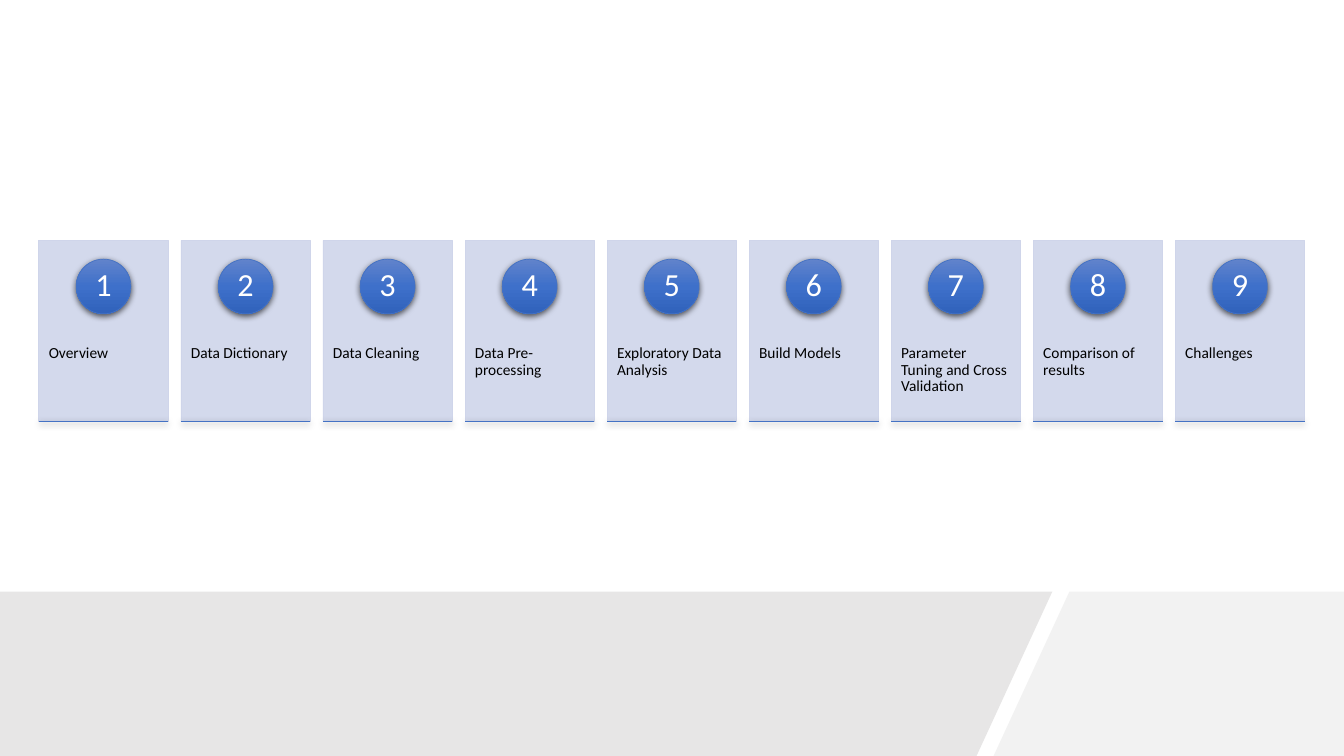
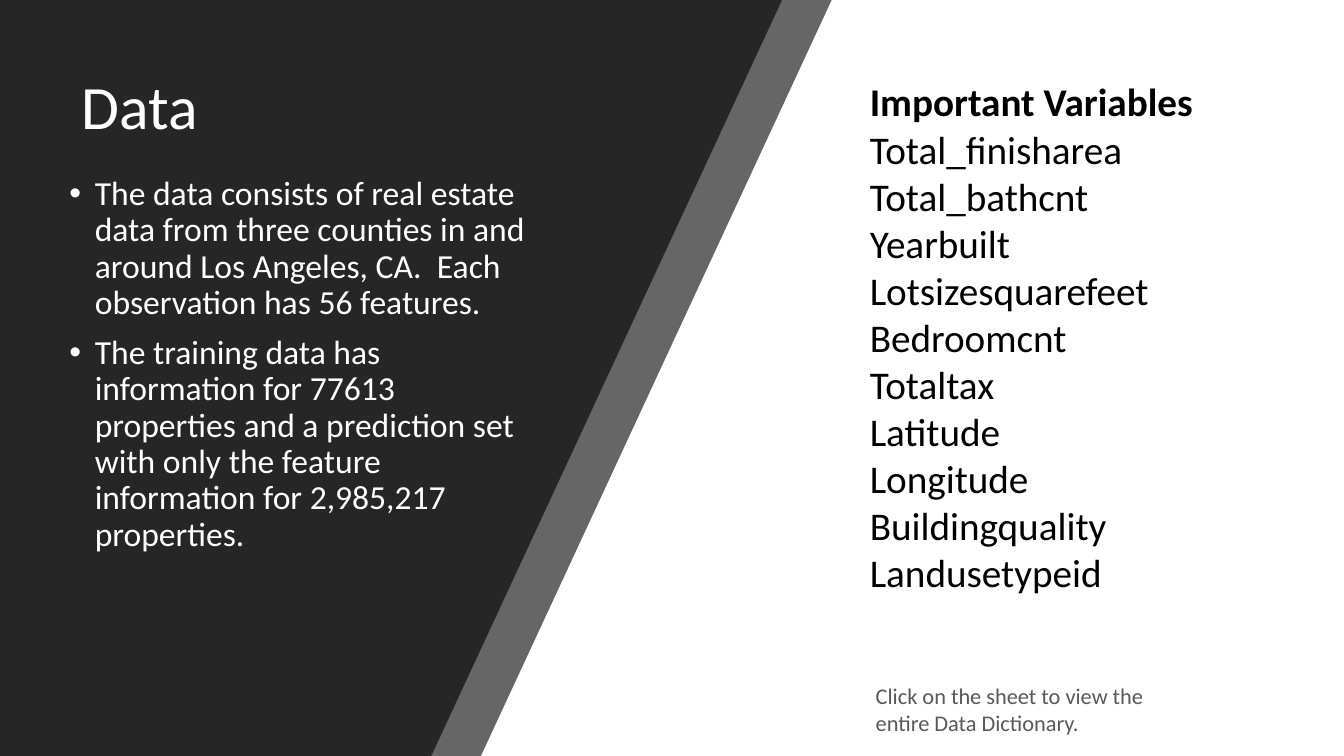
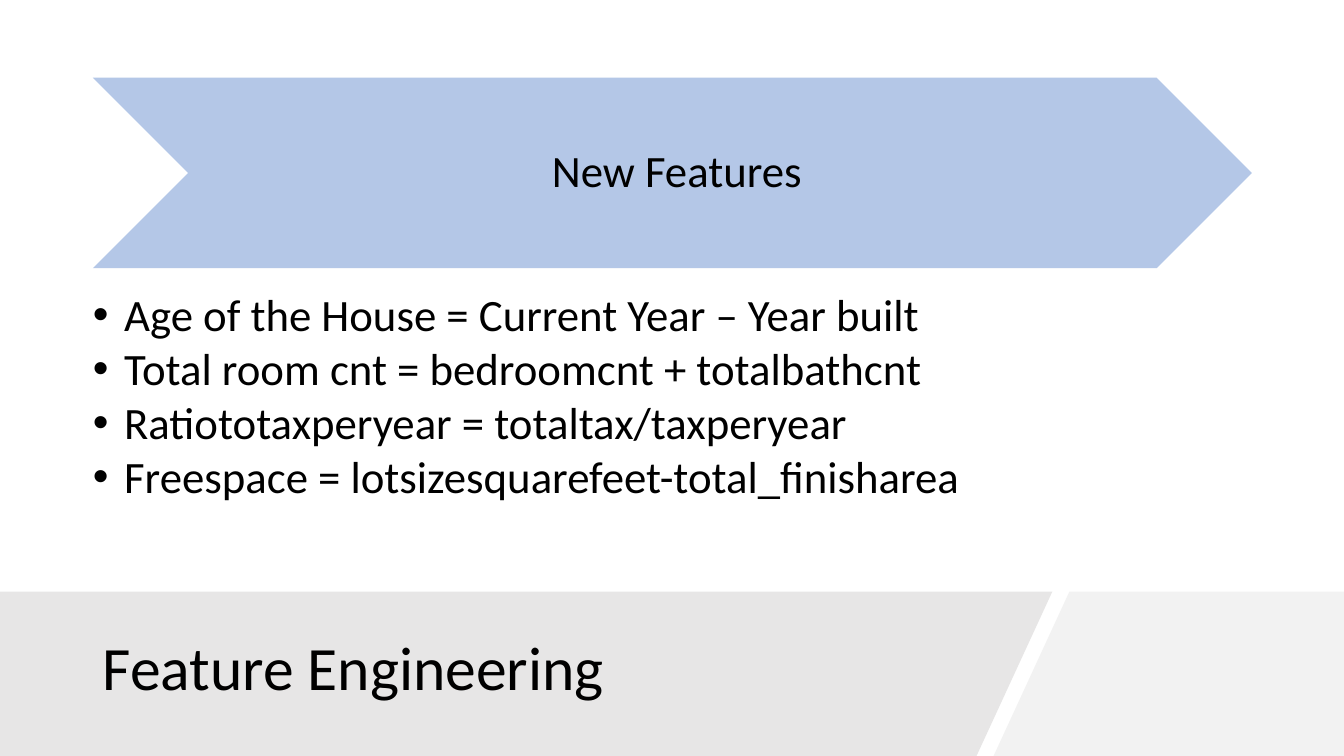
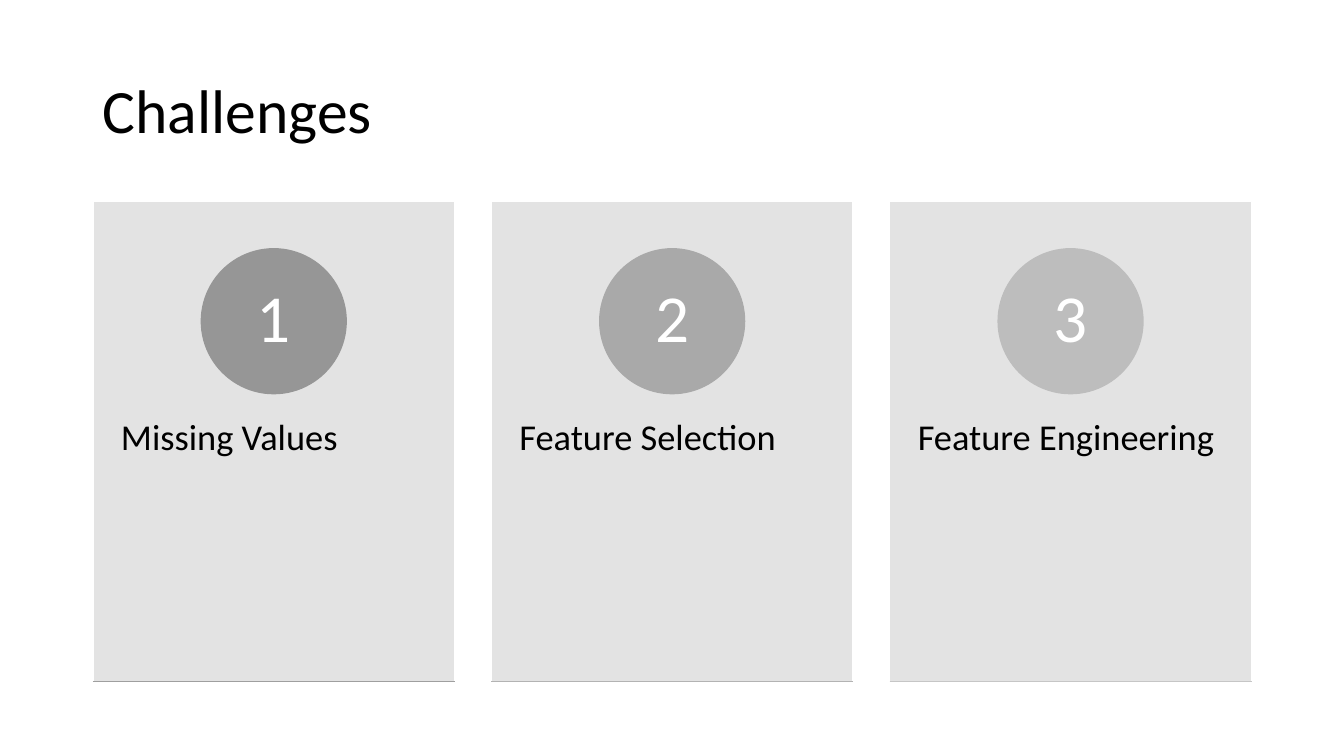
import copy

from lxml import etree
from pptx import Presentation
from pptx.dml.color import RGBColor
from pptx.enum import shapes, text
from pptx.oxml.ns import qn
from pptx.util import Cm, Pt

# Style
FONT = "Calibri"
BLACK = RGBColor(0x00, 0x00, 0x00)
WHITE = RGBColor(0xFF, 0xFF, 0xFF)
CHARCOAL = RGBColor(0x26, 0x26, 0x26)
NOTE_GREY = RGBColor(0x59, 0x59, 0x59)
BAND_GREY = RGBColor(0xE7, 0xE6, 0xE6)
BAND_LIGHT = RGBColor(0xF2, 0xF2, 0xF2)
CARD_GREY = RGBColor(0xE1, 0xE1, 0xE1)
CARD_BLUE = RGBColor(0xCF, 0xD5, 0xEA)
CHEVRON_BLUE = RGBColor(0xB4, 0xC7, 0xE7)
BLUE = RGBColor(0x44, 0x72, 0xC4)
BLUE_GRADIENT = (RGBColor(0x61, 0x83, 0xCB), RGBColor(0x3E, 0x70, 0xCA), RGBColor(0x30, 0x62, 0xBB))
DISC_GREYS = (RGBColor(0x96, 0x96, 0x96), RGBColor(0xA9, 0xA9, 0xA9), RGBColor(0xBD, 0xBD, 0xBD))
RULE_GREYS = (RGBColor(0x9F, 0x9F, 0x9F), RGBColor(0xB3, 0xB3, 0xB3), RGBColor(0xC6, 0xC6, 0xC6))

WIDTH, HEIGHT = 33.87, 19.05
BAND_TOP = 14.91
LEFT = 2.34
TOP, MIDDLE = text.MSO_ANCHOR.TOP, text.MSO_ANCHOR.MIDDLE
CENTER = text.PP_ALIGN.CENTER
PADDING = (0.25, 0.13, 0.25, 0.13)
NO_PADDING = (0, 0, 0, 0)


class SlideBuilder:
    """Holds the deck, its style and the page being drawn."""

    def __init__(self):
        self.deck = Presentation()
        self.deck.slide_width, self.deck.slide_height = Cm(WIDTH), Cm(HEIGHT)
        self.page = None

    def new_page(self):
        self.page = self.deck.slides.add_slide(self.deck.slide_layouts[6])

    # Finish of shapes
    def effects(self, shape, shadow=False):
        effect_list = etree.SubElement(shape.element.spPr, qn("a:effectLst"))
        if shadow:
            outer = etree.SubElement(effect_list, qn("a:outerShdw"), blurRad=str(Pt(4.5)),
                                     dist=str(Pt(1.5)), dir="5400000", algn="ctr", rotWithShape="0")
            colour = etree.SubElement(outer, qn("a:srgbClr"), val="000000")
            etree.SubElement(colour, qn("a:alpha"), val="63000")

    def paint(self, shape, fill, line=None, line_width=1, opacity=100, shadow=False):
        if isinstance(fill, RGBColor):
            shape.fill.solid()
            shape.fill.fore_color.rgb = fill
        else:
            shape.fill.gradient()
            shape.fill.gradient_angle = 270
            stops = shape.element.spPr.find(".//" + qn("a:gsLst"))
            stops.insert(1, copy.deepcopy(stops[0]))
            for stop, place, colour in zip(shape.fill.gradient_stops, (0, 0.5, 1), fill):
                stop.position, stop.color.rgb = place, colour
        if opacity < 100:
            colour = shape.element.spPr.find(qn("a:solidFill")).find(qn("a:srgbClr"))
            etree.SubElement(colour, qn("a:alpha"), val=str(opacity * 1000))
        if line is None:
            shape.line.fill.background()
        else:
            shape.line.color.rgb, shape.line.width = line, Pt(line_width)
        self.effects(shape, shadow)

    # Text
    def set_text(self, shape, lines, size, colour=BLACK, align=text.PP_ALIGN.LEFT, anchor=TOP,
                 padding=PADDING, spacing=0.9, before=0, bullet=0):
        frame = shape.text_frame
        frame.word_wrap = True
        frame.vertical_anchor = anchor
        (frame.margin_left, frame.margin_top,
         frame.margin_right, frame.margin_bottom) = map(Cm, padding)
        frame.text = "\n".join(lines)
        for index, para in enumerate(frame.paragraphs):
            if bullet:
                properties = para._p.get_or_add_pPr()
                properties.set("marL", str(Cm(bullet)))
                properties.set("indent", str(-Cm(bullet)))
                etree.SubElement(properties, qn("a:buFont"), typeface="Arial")
                etree.SubElement(properties, qn("a:buChar"), char="•")
            para.alignment, para.line_spacing = align, spacing
            if index and before:
                para.space_before = Pt(before)
            for span in para.runs:
                span.font.name, span.font.size = FONT, Pt(size)
                span.font.color.rgb = colour

    def text_box(self, left, top, width, height, lines, size, **options):
        box = self.page.shapes.add_textbox(Cm(left), Cm(top), Cm(width), Cm(height))
        self.set_text(box, lines, size, **options)
        return box

    def title(self, wording, left, top, width, height, colour=BLACK):
        self.text_box(left, top, width, height, [wording], 44, colour=colour, anchor=MIDDLE)

    # Shapes
    def shape(self, kind, left, top, width, height, fill, **options):
        shape = self.page.shapes.add_shape(kind, Cm(left), Cm(top), Cm(width), Cm(height))
        self.paint(shape, fill, **options)
        return shape

    def polygon(self, points, fill, opacity=100):
        start, *others = [(Cm(x), Cm(y)) for x, y in points]
        outline = self.page.shapes.build_freeform(*start)
        outline.add_line_segments(others, close=True)
        self.paint(outline.convert_to_shape(), fill, opacity=opacity)

    def bottom_band(self):
        self.polygon([(26.95, BAND_TOP), (WIDTH, BAND_TOP), (WIDTH, HEIGHT), (25.04, HEIGHT)], BAND_LIGHT)
        self.polygon([(0, BAND_TOP), (26.52, BAND_TOP), (24.61, HEIGHT), (0, HEIGHT)], BAND_GREY)

    def rule(self, left, top, width, colour, line_width, shadow):
        line = self.page.shapes.add_connector(shapes.MSO_CONNECTOR.STRAIGHT, Cm(left), Cm(top),
                                              Cm(left + width), Cm(top))
        line.line.color.rgb, line.line.width = colour, Pt(line_width)
        self.effects(line, shadow)

    def numbered_cards(self, labels, discs, disc_lines, rules, *, left, top, width, height, pitch,
                       card_fill, card_line, line_width, disc_size, disc_drop, number_size,
                       label_size, padding, shadow=False):
        parts = zip(labels, discs, disc_lines, rules)
        for index, (label, disc_fill, disc_line, rule_colour) in enumerate(parts):
            x = left + index * pitch
            card = self.shape(shapes.MSO_SHAPE.RECTANGLE, x, top, width, height, card_fill,
                              line=card_line, line_width=line_width, opacity=90)
            self.set_text(card, [label], label_size, padding=padding)
            disc = self.shape(shapes.MSO_SHAPE.OVAL, x + (width - disc_size) / 2, top + disc_drop,
                              disc_size, disc_size, disc_fill, line=disc_line,
                              line_width=line_width, shadow=shadow)
            self.set_text(disc, [str(index + 1)], number_size, colour=WHITE, align=CENTER,
                          anchor=MIDDLE, padding=NO_PADDING)
            self.rule(x, top + height, width, rule_colour, line_width, shadow)


def agenda(slide):
    slide.new_page()
    slide.bottom_band()
    labels = ["Overview", "Data Dictionary", "Data Cleaning", "Data Pre-processing",
              "Exploratory Data Analysis", "Build Models", "Parameter Tuning and Cross Validation",
              "Comparison of results", "Challenges"]
    blues = [BLUE] * len(labels)
    slide.numbered_cards(labels, [BLUE_GRADIENT] * len(labels), blues, blues,
                         left=0.98, top=6.06, width=3.26, height=4.56, pitch=3.58,
                         card_fill=CARD_BLUE, card_line=CARD_BLUE, line_width=0.5,
                         disc_size=1.38, disc_drop=0.47, number_size=23, label_size=11,
                         padding=(0.25, 2.64, 0.25, 0.2), shadow=True)


def data(slide):
    slide.new_page()
    # Slanted panel
    slide.polygon([(0, 0), (20.96, 0), (12.12, HEIGHT), (0, HEIGHT)], CHARCOAL, opacity=70)
    slide.polygon([(0, 0), (19.71, 0), (10.87, HEIGHT), (0, HEIGHT)], CHARCOAL)
    slide.title("Data", 1.8, 0.91, 15.37, 3.68, colour=WHITE)
    slide.text_box(1.5, 4.32, 12.19, 12.73, [
        "The data consists of real estate data from three counties in and around Los Angeles, CA.  "
        "Each observation has 56 features.",
        "The training data has information for 77613 properties and a prediction set with only the "
        "feature information for 2,985,217 properties.",
    ], 24, colour=WHITE, before=10, bullet=0.64)
    # Variables
    slide.text_box(21.82, 17.07, 7.59, 1.63, ["Click on the sheet to view the entire Data Dictionary."],
                   16, colour=NOTE_GREY, spacing=1)
    variables = slide.text_box(21.67, 1.83, 12.19, 14.63, [
        "Important Variables", "Total_finisharea", "Total_bathcnt", "Yearbuilt", "Lotsizesquarefeet",
        "Bedroomcnt", "Totaltax", "Latitude", "Longitude", "Buildingquality", "Landusetypeid",
    ], 28, spacing=1)
    variables.text_frame.paragraphs[0].runs[0].font.bold = True


def feature_engineering(slide):
    slide.new_page()
    slide.bottom_band()
    slide.title("Feature Engineering", LEFT, 15.37, 22.43, 3.05)
    chevron = slide.shape(shapes.MSO_SHAPE.CHEVRON, LEFT, 1.96, 29.21, 4.8, CHEVRON_BLUE)
    slide.set_text(chevron, ["New Features"], 32, align=CENTER, anchor=MIDDLE,
                   padding=(0.36, 0.13, 0.13, 0.13))
    slide.text_box(LEFT, 7.37, 23.37, 5.59, [
        "Age of the House = Current Year – Year built",
        "Total room cnt = bedroomcnt + totalbathcnt",
        "Ratiototaxperyear = totaltax/taxperyear",
        "Freespace = lotsizesquarefeet-total_finisharea",
    ], 32, padding=NO_PADDING, before=4, bullet=0.79)


def challenges(slide):
    slide.new_page()
    slide.title("Challenges", LEFT, 1.02, 29.21, 3.68)
    slide.numbered_cards(["Missing Values", "Feature Selection", "Feature Engineering"],
                         DISC_GREYS, DISC_GREYS, RULE_GREYS,
                         left=LEFT, top=5.08, width=9.12, height=12.09, pitch=10.04,
                         card_fill=CARD_GREY, card_line=WHITE, line_width=1,
                         disc_size=3.65, disc_drop=1.19, number_size=48, label_size=26,
                         padding=(0.71, 5.49, 0.71, 0.9))


def main():
    slide = SlideBuilder()
    for build in (agenda, data, feature_engineering, challenges):
        build(slide)
    slide.deck.save("out.pptx")


if __name__ == "__main__":
    main()
